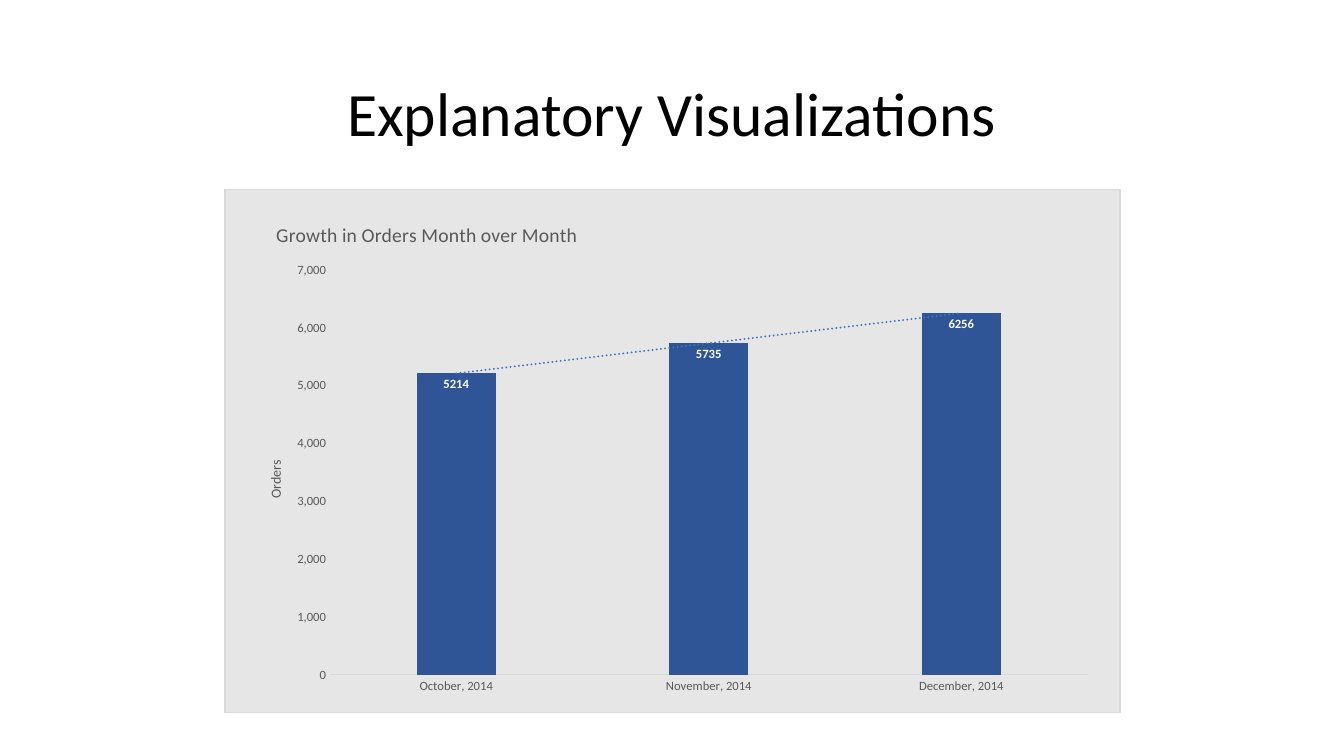
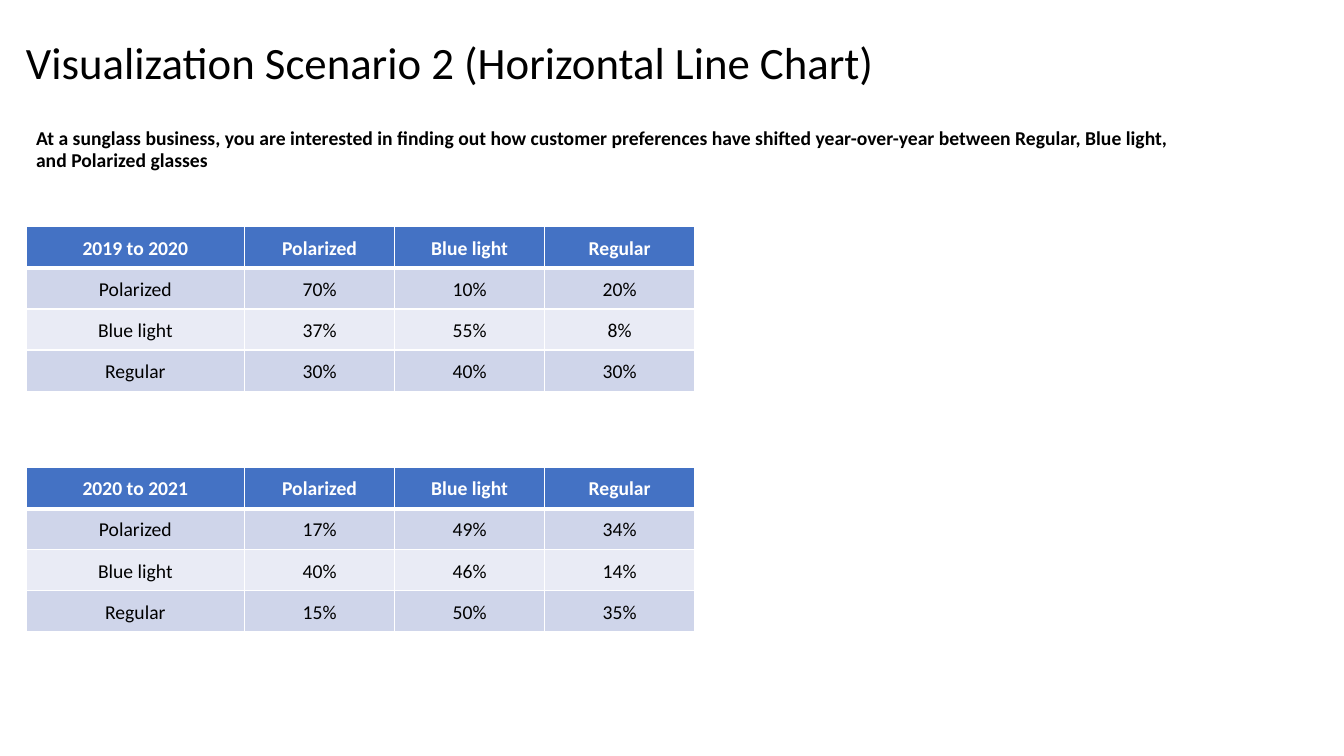
"""Build two slides on visualizations: an orders chart and two preference tables."""
from lxml import etree
from pptx import Presentation
from pptx import util as u
from pptx.chart import data as chart_data
from pptx.dml import color
from pptx.enum import chart as kinds
from pptx.enum import dml, shapes, text
from pptx.oxml import parse_xml
from pptx.oxml.ns import nsdecls, qn

FONT = "Calibri"
BLACK, WHITE, GREY, RULE = "000000", "FFFFFF", "595959", "D9D9D9"
PANEL, BAR, BLUE = "E7E6E6", "2F5597", "4472C4"
BANDS = ["CFD5EA", "E9EBF5"]
NAMESPACES = nsdecls("c", "a")
rgb = color.RGBColor.from_string


def style(font, size, shade=BLACK, bold=False):
    font.name, font.size, font.bold = FONT, u.Pt(size), bold
    font.color.rgb = rgb(shade)


def write(frame, words, size, shade=BLACK, bold=False, align=None, spacing=None):
    para = frame.paragraphs[0]
    para.alignment = align
    para.line_spacing = spacing
    span = para.add_run()
    span.text = words
    style(span.font, size, shade, bold)


deck = Presentation()
deck.slide_width, deck.slide_height = u.Pt(960), u.Pt(540)
chart_page, table_page = [deck.slides.add_slide(deck.slide_layouts[6]) for _ in range(2)]

panel = chart_page.shapes.add_shape(
    shapes.MSO_SHAPE.RECTANGLE, u.Pt(160.6), u.Pt(135.4), u.Pt(639.4), u.Pt(373.7))
panel.shadow.inherit = False
panel.fill.solid()
panel.fill.fore_color.rgb = rgb(PANEL)
panel.line.color.rgb = rgb(RULE)
panel.line.width = u.Pt(1)

middle, top = text.MSO_ANCHOR.MIDDLE, text.MSO_ANCHOR.TOP
center, left = text.PP_ALIGN.CENTER, text.PP_ALIGN.LEFT
scenario = ("At a sunglass business, you are interested in finding out how customer "
            "preferences have shifted year-over-year between Regular, Blue light, "
            "and Polarized glasses")
for page, words, x, y, height, size, bold, align, anchor in [
    (chart_page, "Explanatory Visualizations", 66, 31, 104.4, 44, False, center, middle),
    (table_page, "Visualization Scenario 2 (Horizontal Line Chart)",
     11.5, 16.6, 59.8, 32, False, left, middle),
    (table_page, scenario, 18.7, 88.6, 45.4, 14, True, left, top),
]:
    box = page.shapes.add_textbox(u.Pt(x), u.Pt(y), u.Pt(828), u.Pt(height))
    box.text_frame.word_wrap = True
    box.text_frame.vertical_anchor = anchor
    write(box.text_frame, words, size, bold=bold, align=align, spacing=0.9)

orders = chart_data.CategoryChartData()
orders.categories = ["October, 2014", "November, 2014", "December, 2014"]
orders.add_series("Series 1", [5214, 5735, 6256])
chart = chart_page.shapes.add_chart(
    kinds.XL_CHART_TYPE.COLUMN_CLUSTERED,
    u.Pt(169.9), u.Pt(144.7), u.Pt(620.6), u.Pt(357.8), orders).chart
style(chart.font, 10)
chart.has_legend = False
chart.has_title = True
write(chart.chart_title.text_frame, "Growth in Orders Month over Month", 14, GREY)

month_axis, order_axis = chart.category_axis, chart.value_axis
for axis in (month_axis, order_axis):
    axis.has_major_gridlines = False
    axis.major_tick_mark = kinds.XL_TICK_MARK.NONE
    style(axis.tick_labels.font, 9, GREY)
month_axis.format.line.color.rgb = rgb(RULE)
month_axis.format.line.width = u.Pt(0.75)
order_axis.format.line.fill.background()
order_axis.minimum_scale, order_axis.maximum_scale = 0, 7000
order_axis.major_unit = 1000
order_axis.tick_labels.number_format = "#,##0"
order_axis.tick_labels.number_format_is_linked = False
order_title = order_axis.axis_title
write(order_title.text_frame, "Orders", 10, GREY)
rotation = order_title._element.find(".//" + qn("a:bodyPr"))
rotation.set("rot", "-5400000")
rotation.set("vert", "horz")

plot = chart.plots[0]
plot.gap_width, plot.overlap = 219, -27
plot.vary_by_categories = False
series = plot.series[0]
series.format.fill.solid()
series.format.fill.fore_color.rgb = rgb(BAR)
labels = series.data_labels
labels.show_value = True
labels.position = kinds.XL_LABEL_POSITION.INSIDE_END
style(labels.font, 9, WHITE, bold=True)
series._element.find(qn("c:cat")).addprevious(parse_xml(
    f'<c:trendline {NAMESPACES}><c:spPr><a:ln w="19050" cap="rnd"><a:solidFill>'
    f'<a:srgbClr val="{BLUE}"/></a:solidFill><a:prstDash val="sysDot"/></a:ln></c:spPr>'
    '<c:trendlineType val="linear"/><c:dispRSqr val="0"/><c:dispEq val="0"/></c:trendline>'))

clear = f'<c:spPr {NAMESPACES}><a:noFill/><a:ln><a:noFill/></a:ln></c:spPr>'
plot_area = chart._chartSpace.find(".//" + qn("c:plotArea"))
plot_area.append(parse_xml(clear))
chart._chartSpace.find(qn("c:chart")).addnext(parse_xml(clear))

for part, places in [
    (chart.chart_title._element, {"x": 0.04, "y": 0.03}),
    (order_title._element, {"x": 0.03, "y": 0.51}),
    (plot_area, {"x": 0.106, "y": 0.135, "w": 0.872, "h": 0.808}),
]:
    for old in part.findall(qn("c:layout")):
        part.remove(old)
    layout = etree.Element(qn("c:layout"))
    manual = etree.SubElement(layout, qn("c:manualLayout"))
    if "w" in places:
        etree.SubElement(manual, qn("c:layoutTarget"), val="inner")
    for key in "xy":
        etree.SubElement(manual, qn(f"c:{key}Mode"), val="edge")
    for key, share in places.items():
        etree.SubElement(manual, qn(f"c:{key}"), val=str(share))
    part.insert(0 if part.find(qn("c:tx")) is None else 1, layout)

glasses = ["Polarized", "Blue light", "Regular"]
for period, y, shares in [
    ("2019 to 2020", 162, [(70, 10, 20), (37, 55, 8), (30, 40, 30)]),
    ("2020 to 2021", 334, [(17, 49, 34), (40, 46, 14), (15, 50, 35)]),
]:
    rows = [[period, *glasses]]
    rows += [[kind, *(f"{share}%" for share in line)] for kind, line in zip(glasses, shares)]
    table = table_page.shapes.add_table(
        4, 4, u.Pt(18.7), u.Pt(y), u.Pt(477.6), u.Pt(117.4)).table
    for index, column in enumerate(table.columns):
        column.width = u.Pt(107.2 if index else 156)
    for index, row in enumerate(rows):
        table.rows[index].height = u.Pt(29.35)
        header = index == 0
        for place, words in enumerate(row):
            cell = table.cell(index, place)
            cell.margin_left = cell.margin_right = cell.margin_top = u.Pt(1.4)
            cell.margin_bottom = 0
            cell.vertical_anchor = middle
            write(cell.text_frame, words, 14, WHITE if header else BLACK, header, center)
            for side in "LRTB":
                thick = (index, side) in [(0, "B"), (1, "T")]
                edge = etree.SubElement(cell._tc.get_or_add_tcPr(), qn(f"a:ln{side}"),
                                        w=str(u.Pt(3 if thick else 1)))
                paint = etree.SubElement(edge, qn("a:solidFill"))
                etree.SubElement(paint, qn("a:srgbClr"), val=WHITE)
            cell.fill.solid()
            cell.fill.fore_color.rgb = rgb(BLUE if header else BANDS[(index - 1) % 2])

deck.save("out.pptx")
